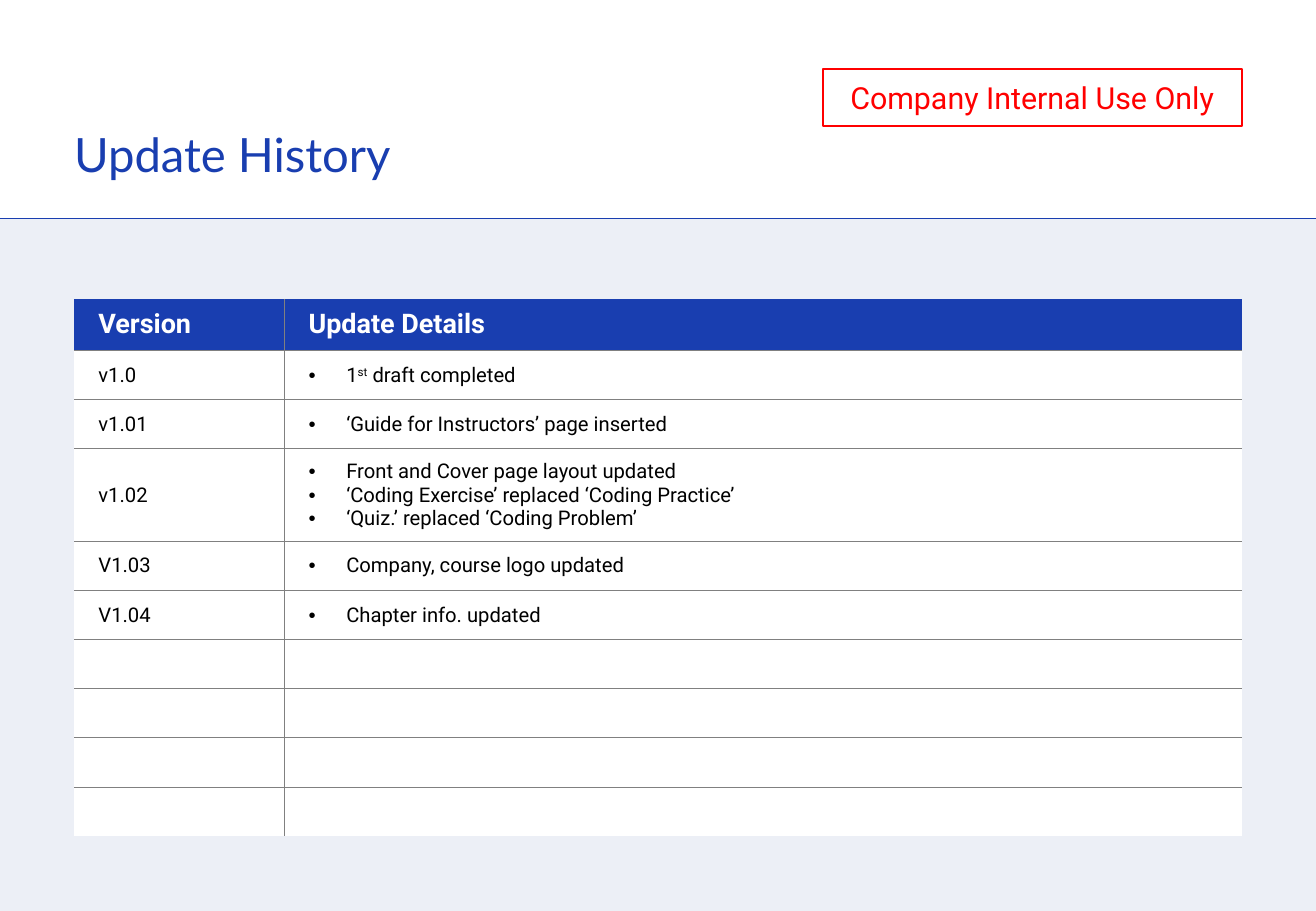
from pptx import Presentation
from pptx.dml.color import RGBColor
from pptx.enum.shapes import MSO_CONNECTOR, MSO_SHAPE
from pptx.enum.text import MSO_ANCHOR, MSO_AUTO_SIZE, PP_ALIGN
from pptx.oxml import parse_xml
from pptx.oxml.ns import nsdecls
from pptx.util import Inches, Pt

COLORS = {
    "blue": "193EB0",
    "band": "ECEFF6",
    "grid": "808080",
    "red": "FF0000",
    "white": "FFFFFF",
    "black": "000000",
}
LEFT, WIDTH = 0.61, 9.61
SLIDE_WIDTH, SLIDE_HEIGHT = 10.83, 7.5
RULE_TOP = 1.8


def color(name):
    return RGBColor.from_string(COLORS[name])


def style_runs(paragraph, font_name, size, color_name, bold=False):
    for run in paragraph.runs:
        run.font.name = font_name
        run.font.size = Pt(size)
        run.font.bold = bold
        run.font.color.rgb = color(color_name)


prs = Presentation()
prs.slide_width, prs.slide_height = Inches(SLIDE_WIDTH), Inches(SLIDE_HEIGHT)
slide = prs.slides.add_slide(prs.slide_layouts[5])
shapes = slide.shapes

# Title
title = shapes.title
title.left, title.top = Inches(LEFT), Inches(1.03)
title.width, title.height = Inches(WIDTH), Inches(0.47)
heading = title.text_frame
heading.text = "Update History"
heading.margin_left = heading.margin_right = 0
heading.margin_top = heading.margin_bottom = 0
heading.vertical_anchor = MSO_ANCHOR.BOTTOM
heading.auto_size = MSO_AUTO_SIZE.SHAPE_TO_FIT_TEXT
heading.paragraphs[0].alignment = PP_ALIGN.LEFT
style_runs(heading.paragraphs[0], "Lato", 28, "blue")

# Tinted body area and the rule above it
body = shapes.add_shape(MSO_SHAPE.RECTANGLE, 0, Inches(RULE_TOP),
                        Inches(SLIDE_WIDTH), Inches(SLIDE_HEIGHT - RULE_TOP))
body.shadow.inherit = False
body.fill.solid()
body.fill.fore_color.rgb = color("band")
body.line.fill.background()

rule = shapes.add_connector(MSO_CONNECTOR.STRAIGHT, 0, Inches(RULE_TOP),
                            Inches(SLIDE_WIDTH), Inches(RULE_TOP))
rule.line.color.rgb = color("blue")
rule.line.width = Pt(0.5)
rule._element.spPr.append(parse_xml(f"<a:effectLst {nsdecls('a')}/>"))

# Version table; each detail is a list of bullets, each bullet a list of runs
history = [
    ("Version", [["Update Details"]]),
    ("v1.0", [["1", "st", " draft completed"]]),
    ("v1.01", [["‘Guide for Instructors’ page inserted"]]),
    ("v1.02", [["Front and Cover page layout updated"],
               ["‘Coding Exercise’ replaced ‘Coding Practice’"],
               ["‘Quiz.’ replaced ‘Coding Problem’"]]),
    ("V1.03", [["Company, course logo updated"]]),
    ("V1.04", [["Chapter info. updated"]]),
] + [("", [])] * 4
last_row = len(history) - 1

# Equal rows; the three-bullet row grows to fit its text
table = shapes.add_table(len(history), 2, Inches(LEFT), Inches(2.46),
                         Inches(WIDTH), Inches(4.05)).table
table.first_row = table.horz_banding = False
table.columns[0].width = Inches(1.73)
table.columns[1].width = Inches(7.88)

for r, (version, details) in enumerate(history):
    is_header = r == 0
    for c, paragraphs in enumerate(([[version]] if version else [], details)):
        cell = table.cell(r, c)
        cell.fill.solid()
        cell.fill.fore_color.rgb = color("blue" if is_header else "white")
        cell.vertical_anchor = MSO_ANCHOR.MIDDLE

        # Only inner edges carry a line
        edges = {"L": c == 1, "R": c == 0, "T": r > 0, "B": r < last_row}
        for position, (side, inner) in enumerate(edges.items()):
            paint = (f'<a:solidFill><a:srgbClr val="{COLORS["grid"]}"/></a:solidFill>'
                     if inner else "<a:noFill/>")
            cell._tc.tcPr.insert(position, parse_xml(
                f'<a:ln{side} {nsdecls("a")} w="{Pt(0.75)}">{paint}</a:ln{side}>'))

        if not paragraphs:
            continue
        cell.margin_left = cell.margin_right = Inches(0.2)
        cell.margin_top = cell.margin_bottom = Inches(0.08)
        frame = cell.text_frame
        for i, pieces in enumerate(paragraphs):
            paragraph = frame.add_paragraph() if i else frame.paragraphs[0]
            for piece in pieces:
                paragraph.add_run().text = piece
            style_runs(paragraph, "Roboto", 16 if is_header else 12,
                       "white" if is_header else "black", is_header)
            if c == 1 and not is_header:
                pPr = paragraph._p.get_or_add_pPr()
                pPr.set("marL", str(Inches(0.31)))
                pPr.set("indent", str(Inches(-0.31)))
                pPr.append(parse_xml(f'<a:buFont {nsdecls("a")} typeface="Arial"/>'))
                pPr.append(parse_xml(f'<a:buChar {nsdecls("a")} char="•"/>'))

ordinal = table.cell(1, 1).text_frame.paragraphs[0].runs[1]
ordinal.font._element.set("baseline", "30000")

# Confidentiality label
label = shapes.add_shape(MSO_SHAPE.RECTANGLE, Inches(6.77), Inches(0.57),
                         Inches(3.45), Inches(0.47))
label.shadow.inherit = False
label.fill.background()
label.line.color.rgb = color("red")
label.line.width = Pt(1)
label.text_frame.text = "Company Internal Use Only"
label.text_frame.vertical_anchor = MSO_ANCHOR.MIDDLE
label.text_frame.paragraphs[0].alignment = PP_ALIGN.CENTER
style_runs(label.text_frame.paragraphs[0], "Roboto", 18, "red")

prs.save("out.pptx")
